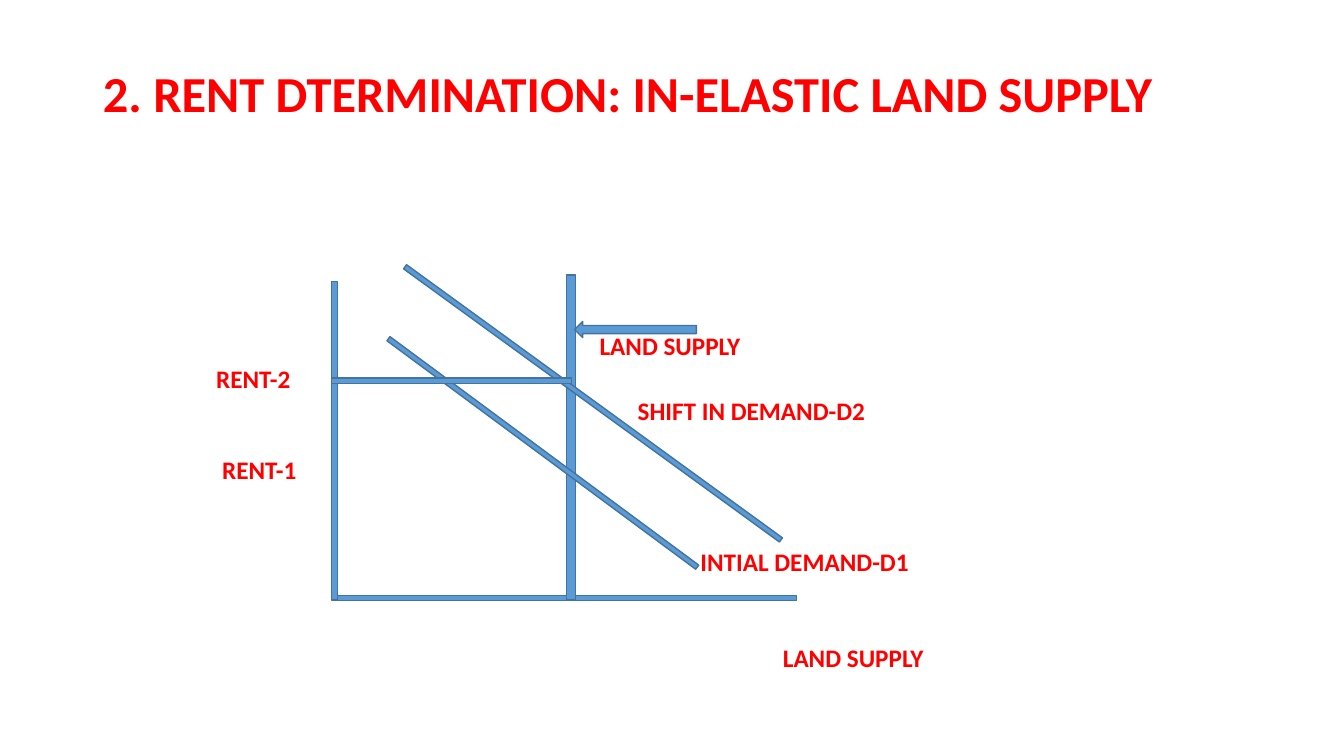
from pptx import Presentation
from pptx import util as u
from pptx.dml.color import RGBColor
from pptx.enum import shapes, text

COLORS = {"bar": "5B9BD5", "edge": "43739E", "text": "FF0000"}


class Diagram:
    """Holds the style and the current slide."""

    font_format = {"name": "Calibri", "bold": True}

    def __init__(self, page):
        self.page = page

    def color(self, name):
        return RGBColor.from_string(COLORS[name])

    def put_text(self, box, words, size):
        frame = box.text_frame
        frame.word_wrap = True
        para = frame.paragraphs[0]
        span = para.add_run()
        span.text = words
        for key, value in {**self.font_format, "size": u.Pt(size)}.items():
            setattr(span.font, key, value)
        span.font.color.rgb = self.color("text")
        return frame

    def title(self, words, left, top, width, height):
        box = self.page.shapes.title
        place = {"left": left, "top": top, "width": width, "height": height}
        for key, value in place.items():
            setattr(box, key, u.Cm(value))
        frame = self.put_text(box, words, 36)
        frame.vertical_anchor = text.MSO_ANCHOR.MIDDLE
        frame.paragraphs[0].alignment = text.PP_ALIGN.LEFT
        frame.paragraphs[0].line_spacing = 0.9

    def bar(self, left, top, width, height, angle=0, parent=None,
            kind=shapes.MSO_SHAPE.RECTANGLE):
        parent = parent or self.page
        bar = parent.shapes.add_shape(kind, *map(u.Cm, (left, top, width, height)))
        bar.rotation = angle
        bar.shadow.inherit = False
        bar.fill.solid()
        bar.fill.fore_color.rgb = self.color("bar")
        bar.line.color.rgb = self.color("edge")
        bar.line.width = u.Pt(1)

    def label(self, words, left, top, width):
        box = self.page.shapes.add_textbox(*map(u.Cm, (left, top, width, 1.02)))
        self.put_text(box, words, 18)


def main():
    deck = Presentation()
    deck.slide_width, deck.slide_height = u.Cm(33.87), u.Cm(19.05)
    page = deck.slides.add_slide(deck.slide_layouts[5])
    diagram = Diagram(page)
    diagram.title("2. RENT DTERMINATION: IN-ELASTIC LAND SUPPLY",
                  2.34, 1.02, 29.21, 2.79)

    # Axes
    axes = page.shapes.add_group_shape()
    diagram.bar(8.36, 7.09, 0.15, 8.03, parent=axes)
    diagram.bar(8.51, 15.01, 11.56, 0.13, parent=axes)

    # Supply, initial demand, shifted demand and rent level
    diagram.bar(14.27, 6.93, 0.23, 8.18)
    diagram.bar(8.84, 11.35, 9.68, 0.13, angle=36.5)
    diagram.bar(9.09, 10.1, 11.71, 0.13, angle=36)
    diagram.bar(8.36, 9.53, 6.05, 0.13)

    # Arrow to the supply line
    diagram.bar(14.48, 8.1, 3.07, 0.41, kind=shapes.MSO_SHAPE.LEFT_ARROW)

    # Labels
    for words, left, top, width in (
        ("LAND SUPPLY", 14.86, 8.2, 4.5),
        ("SHIFT IN DEMAND-D2", 15.82, 9.83, 6.8),
        ("INTIAL DEMAND-D1", 17.4, 13.64, 6.4),
        ("LAND SUPPLY", 19.48, 16.05, 4.5),
        ("RENT-2", 5.2, 9.04, 2.9),
        ("RENT-1", 5.35, 11.33, 2.9),
    ):
        diagram.label(words, left, top, width)

    deck.save("out.pptx")


if __name__ == "__main__":
    main()
